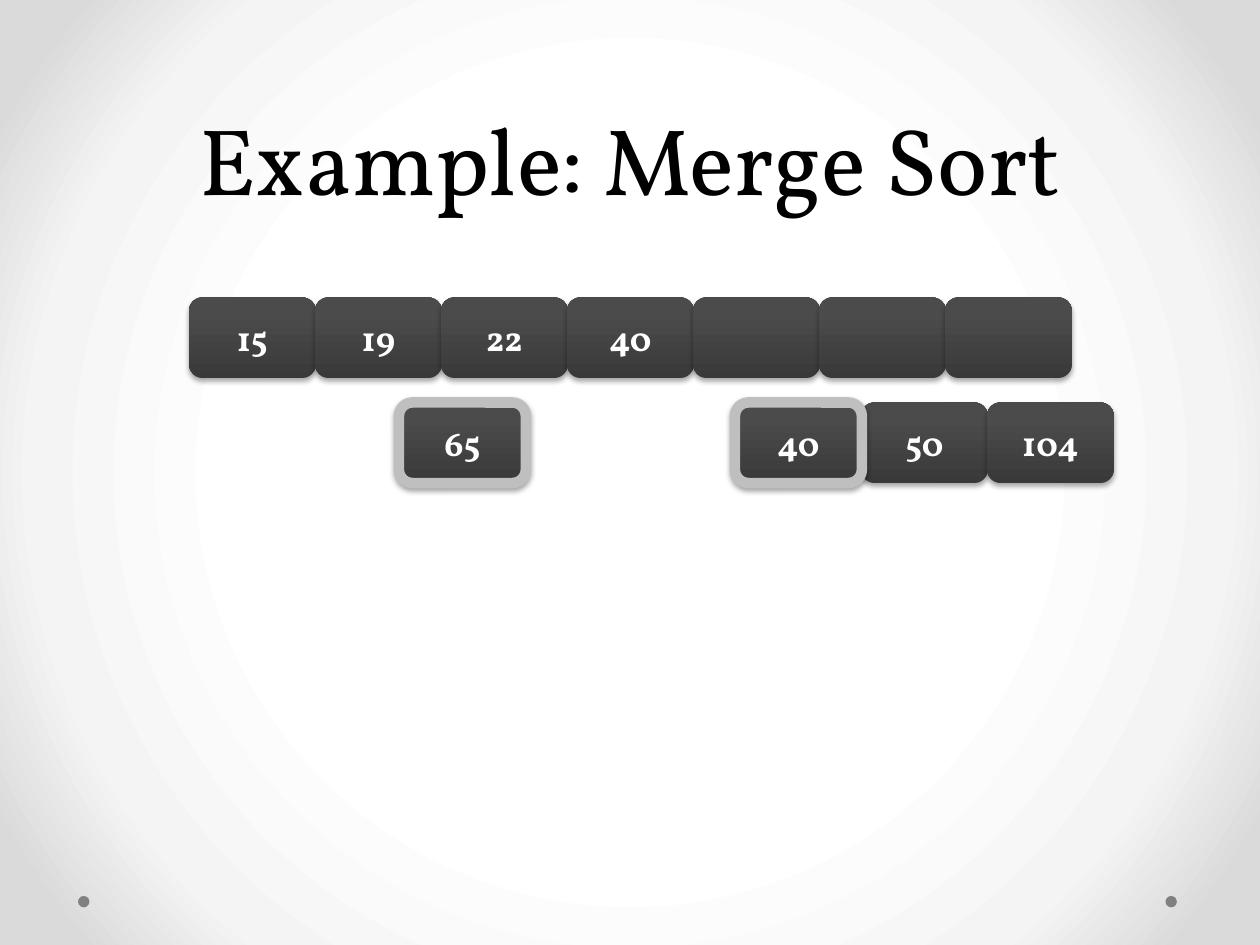
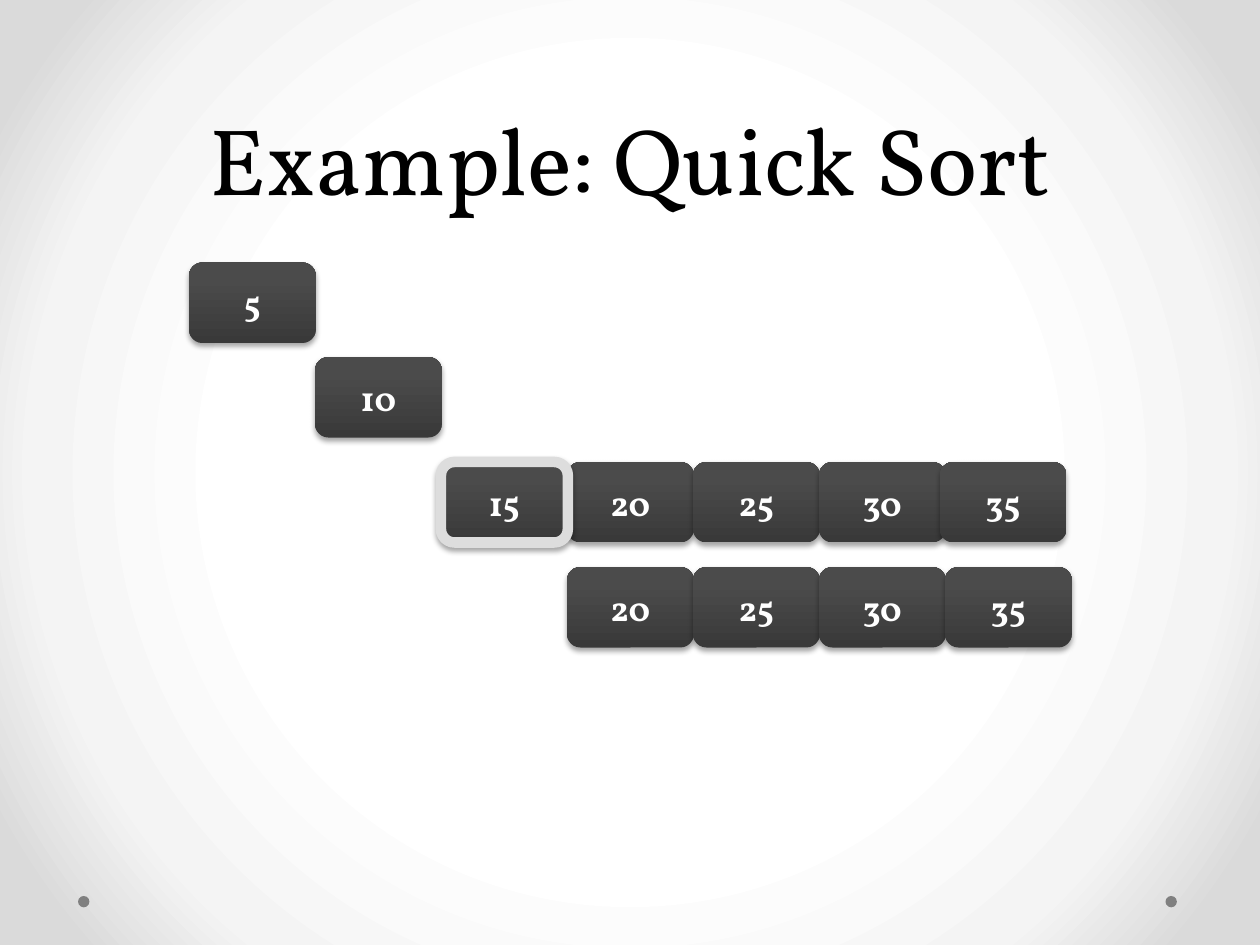
from lxml import etree
from pptx import Presentation
from pptx import util as u
from pptx.dml.color import RGBColor
from pptx.enum import shapes, text
from pptx.oxml import ns

BLACK = RGBColor(0, 0, 0)
WHITE = RGBColor(255, 255, 255)
DOT = RGBColor(0x80, 0x80, 0x80)
SILVER = RGBColor(0xBF, 0xBF, 0xBF)
PALE = RGBColor(0xDD, 0xDD, 0xDD)
DARK = RGBColor(0x39, 0x39, 0x39)
SLATE = RGBColor(0x4B, 0x4B, 0x4B)
MIST = RGBColor(0xF4, 0xF4, 0xF4)
HAZE = RGBColor(0xDA, 0xDA, 0xDA)
GLOW = [(50, WHITE), (76, MIST), (92, HAZE)]
SHEEN = [(0, DARK), (80, SLATE), (100, SLATE)]
FONT = "Vollkorn"
PITCH = 72


def add(parent, tag, **attrs):
    return etree.SubElement(parent, ns.qn(tag), {k: str(v) for k, v in attrs.items()})


class Deck:
    """Hold the shared style and the slide being drawn."""

    def __init__(self):
        self.prs = Presentation()
        self.prs.slide_width, self.prs.slide_height = u.Pt(720), u.Pt(540)
        master = self.prs.slide_master
        grad = self.blend(master.background.fill, master.element, GLOW)
        ring = add(grad, "a:path", path="circle")
        add(ring, "a:fillToRect", l=50000, t=50000, r=50000, b=50000)

    def blend(self, fill, root, stops):
        fill.gradient()
        grad = root.find(".//" + ns.qn("a:gradFill"))
        for child in list(grad):
            grad.remove(child)
        group = add(grad, "a:gsLst")
        for place, color in stops:
            stop = add(group, "a:gs", pos=place * 1000)
            add(stop, "a:srgbClr", val=color)
        return grad

    def page(self, title):
        self.slide = self.prs.slides.add_slide(self.prs.slide_layouts[6])
        for left in (666, 44.6):
            self.dot(left)
        self.title(title)

    def shape(self, kind, left, top, width, height):
        shape = self.slide.shapes.add_shape(
            kind, u.Pt(left), u.Pt(top), u.Pt(width), u.Pt(height))
        shape.shadow.inherit = False
        shape.line.fill.background()
        return shape

    def dot(self, left):
        dot = self.shape(shapes.MSO_SHAPE.OVAL, left, 512, 6.5, 6.5)
        dot.fill.solid()
        dot.fill.fore_color.rgb = DOT

    def label(self, shape, words, size, color, anchor, bold=False):
        frame = shape.text_frame
        frame.word_wrap = True
        frame.vertical_anchor = anchor
        frame.text = words
        para = frame.paragraphs[0]
        para.alignment = text.PP_ALIGN.CENTER
        font = para.font
        font.name, font.size, font.bold = FONT, u.Pt(size), bold
        font.color.rgb = color
        return para

    def title(self, words):
        box = self.slide.shapes.add_textbox(u.Pt(36), u.Pt(0), u.Pt(648), u.Pt(126))
        para = self.label(box, words, 54, BLACK, text.MSO_ANCHOR.BOTTOM)
        para.line_spacing = u.Pt(58)

    def cell(self, left, top, value, edge=None):
        cell = self.shape(shapes.MSO_SHAPE.ROUNDED_RECTANGLE, left, top, 72.5, 46)
        grad = self.blend(cell.fill, cell.element, SHEEN)
        add(grad, "a:lin", ang=270 * 60000, scaled=0)
        if edge is not None:
            cell.line.color.rgb = edge
            cell.line.width = u.Pt(6)
        self.shade(cell)
        if value:
            self.label(cell, value, 20, WHITE, text.MSO_ANCHOR.MIDDLE, True)

    def shade(self, shape):
        effect = shape.element.spPr.find(ns.qn("a:effectLst"))
        shadow = add(effect, "a:outerShdw", blurRad=u.Pt(3.1), dist=u.Pt(1.8),
                     dir=90 * 60000, rotWithShape=0)
        color = add(shadow, "a:srgbClr", val=BLACK)
        add(color, "a:alpha", val=35000)

    def row(self, left, top, values):
        for i, value in enumerate(values):
            self.cell(left + i * PITCH, top, value)


def merge(deck):
    deck.page("Example: Merge Sort")
    deck.cell(228, 230, "65", SILVER)
    deck.row(420 + PITCH, 230, ["50", "104"])
    deck.cell(420, 230, "40", SILVER)
    deck.row(108, 170, ["15", "19", "22", "40", "", "", ""])


def quick(deck):
    deck.page("Example: Quick Sort")
    deck.cell(108, 150, "5")
    deck.cell(180, 204, "10")
    deck.row(324, 264, ["20", "25", "30"])
    deck.cell(252, 264, "15", PALE)
    deck.cell(537, 264, "35")
    deck.row(324, 324, ["20", "25", "30", "35"])


def main():
    deck = Deck()
    merge(deck)
    quick(deck)
    deck.prs.save("out.pptx")


if __name__ == "__main__":
    main()
